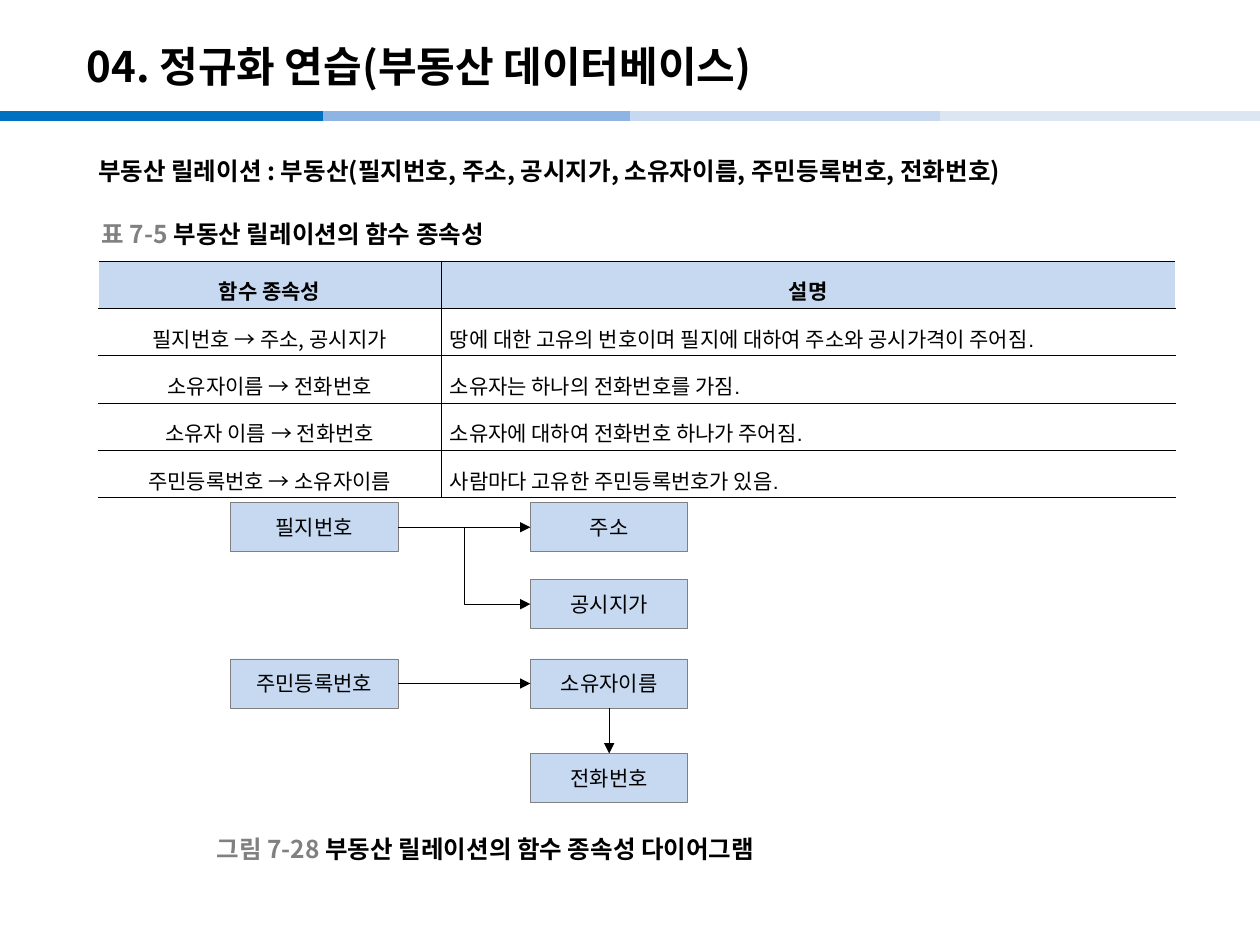
from lxml.etree import SubElement
from pptx import Presentation
from pptx.dml.color import RGBColor
from pptx.enum.shapes import MSO_CONNECTOR as CONN, MSO_SHAPE
from pptx.enum.text import MSO_ANCHOR as ANCHOR, PP_ALIGN as ALIGN
from pptx.oxml.ns import qn
from pptx.util import Inches, Pt

COLORS = {
    "text": "000000", "label": "808080", "fill": "C6D9F1",
    "bar1": "0070C0", "bar2": "8EB4E3", "bar3": "C6D9F1", "bar4": "DCE6F2",
}
SANS, LATIN = "Noto Sans CJK KR", "Arial"
COLS = [(1.83, 1.33), (4.21, 1.25)]
ROWS = [3.99, 4.6, 5.23, 5.98]
BOX_H = 0.39
TOP, LEFT, BOTTOM, RIGHT = range(4)
BARS = [("bar1", 0), ("bar2", 2.56), ("bar3", 5), ("bar4", 7.46)]
HEADER = ("함수 종속성", "설명")
DEPENDENCIES = [
    ("필지번호 ", "→ 주소, 공시지가", "땅에 대한 고유의 번호이며 필지에 대하여 주소와 공시가격이 주어짐."),
    ("소유자이름 ", "→ 전화번호", "소유자는 하나의 전화번호를 가짐."),
    ("소유자 이름 ", "→ 전화번호", "소유자에 대하여 전화번호 하나가 주어짐."),
    ("주민등록번호 ", "→ 소유자이름", "사람마다 고유한 주민등록번호가 있음."),
]


def rgb(name):
    """Return the named colour."""
    return RGBColor.from_string(COLORS[name])


def write(tf, text, size=12, bold=False, color="text", font=SANS,
          align=ALIGN.LEFT, spacing=None):
    """Append a formatted run to the first paragraph of a text frame."""
    p = tf.paragraphs[0]
    p.alignment = align
    if spacing:
        p.line_spacing = spacing
    r = p.add_run()
    r.text = text
    r.font.size, r.font.bold, r.font.name = Pt(size), bold, font
    r.font.color.rgb = rgb(color)
    SubElement(r._r.get_or_add_rPr(), qn("a:ea"), typeface=SANS)


def add_text(s, x, y, w, h, anchor=ANCHOR.MIDDLE):
    """Add a wrapping text box and return its text frame."""
    tf = s.shapes.add_textbox(*map(Inches, (x, y, w, h))).text_frame
    tf.word_wrap, tf.vertical_anchor = True, anchor
    return tf


def add_caption(s, x, y, w, label, text):
    """Add a grey numbered label followed by a black caption."""
    tf = add_text(s, x, y, w, 0.31)
    write(tf, label, size=14, bold=True, color="label")
    write(tf, text, size=14, bold=True)


def add_line(s, kind, ends, color="text", width=0.5):
    """Add a connector without shadow between two points."""
    c = s.shapes.add_connector(kind, *map(Inches, ends))
    c.line.color.rgb, c.line.width = rgb(color), Pt(width)
    SubElement(c._element.spPr, qn("a:effectLst"))
    return c


def add_arrow(s, start, start_site, end, end_site, kind=CONN.STRAIGHT):
    """Join two boxes with an arrow glued to their sides."""
    c = add_line(s, kind, (0, 0, 0, 0))
    c.begin_connect(start, start_site)
    c.end_connect(end, end_site)
    SubElement(c.line._get_or_add_ln(), qn("a:tailEnd"), type="triangle")


def add_box(s, col, row, text):
    """Add an attribute box at a column and row of the diagram."""
    x, w = COLS[col]
    sp = s.shapes.add_shape(MSO_SHAPE.RECTANGLE, *map(Inches, (x, ROWS[row], w, BOX_H)))
    sp.shadow.inherit = False
    sp.fill.solid()
    sp.fill.fore_color.rgb = rgb("fill")
    sp.line.color.rgb, sp.line.width = rgb("label"), Pt(0.5)
    tf = sp.text_frame
    tf.margin_left = tf.margin_right = Inches(0.04)
    tf.vertical_anchor = ANCHOR.MIDDLE
    write(tf, text, align=ALIGN.CENTER)
    return sp


def add_borders(cell, sides):
    """Draw thin black lines on the given sides of a cell."""
    for side in sides:
        ln = SubElement(cell._tc.get_or_add_tcPr(), qn(f"a:ln{side}"), w=str(Pt(0.28)))
        fill = SubElement(ln, qn("a:solidFill"))
        SubElement(fill, qn("a:srgbClr"), val=COLORS["text"])


def add_table(s):
    """Add the table of functional dependencies."""
    n = len(DEPENDENCIES) + 1
    frame = s.shapes.add_table(n, 2, *map(Inches, (0.78, 2.07, 8.55, 1.88)))
    table = frame.table
    table.first_row = table.horz_banding = False
    for column, width in zip(table.columns, (2.72, 5.83)):
        column.width = Inches(width)
    for i in range(n):
        for j, sides in enumerate(("RTB", "LTB")):
            cell = table.cell(i, j)
            cell.vertical_anchor = ANCHOR.MIDDLE
            cell.margin_left = cell.margin_right = Inches(0.07)
            cell.margin_top = cell.margin_bottom = Inches(0.02)
            add_borders(cell, sides)
            if i == 0:
                cell.fill.solid()
                cell.fill.fore_color.rgb = rgb("fill")
                write(cell.text_frame, HEADER[j], bold=True, font=LATIN,
                      align=ALIGN.CENTER, spacing=1.4)
            else:
                cell.fill.background()
    for i, (source, target, note) in enumerate(DEPENDENCIES, 1):
        tf = table.cell(i, 0).text_frame
        write(tf, source, font=LATIN, align=ALIGN.CENTER, spacing=1.4)
        write(tf, target, align=ALIGN.CENTER, spacing=1.4)
        write(table.cell(i, 1).text_frame, note, font=LATIN, spacing=1.4)


def add_diagram(s):
    """Add the attribute boxes and the arrows between them."""
    lot = add_box(s, 0, 0, "필지번호")
    address = add_box(s, 1, 0, "주소")
    price = add_box(s, 1, 1, "공시지가")
    resident = add_box(s, 0, 2, "주민등록번호")
    owner = add_box(s, 1, 2, "소유자이름")
    phone = add_box(s, 1, 3, "전화번호")
    add_arrow(s, lot, RIGHT, address, LEFT)
    add_arrow(s, lot, RIGHT, price, LEFT, CONN.ELBOW)
    add_arrow(s, resident, RIGHT, owner, LEFT)
    add_arrow(s, owner, BOTTOM, phone, TOP)


def main():
    """Build the slide and save it."""
    prs = Presentation()
    prs.slide_width, prs.slide_height = Inches(10), Inches(7.5)
    s = prs.slides.add_slide(prs.slide_layouts[6])
    for color, x in BARS:
        add_line(s, CONN.STRAIGHT, (x, 0.92, x + 2.56, 0.92), color, 6)
    write(add_text(s, 0.59, 0.22, 8.27, 0.6), "04. 정규화 연습(부동산 데이터베이스)",
          size=24, bold=True)
    write(add_text(s, 0.68, 1.19, 8.73, 0.4, ANCHOR.TOP),
          "부동산 릴레이션 : 부동산(필지번호, 주소, 공시지가, 소유자이름, 주민등록번호, 전화번호)",
          size=14, bold=True)
    add_caption(s, 0.71, 1.7, 3.5, "표 7-5 ", "부동산 릴레이션의 함수 종속성")
    add_table(s)
    add_diagram(s)
    add_caption(s, 1.62, 6.58, 4.8, "그림 7-28 ", "부동산 릴레이션의 함수 종속성 다이어그램")
    prs.save("out.pptx")


if __name__ == "__main__":
    main()
